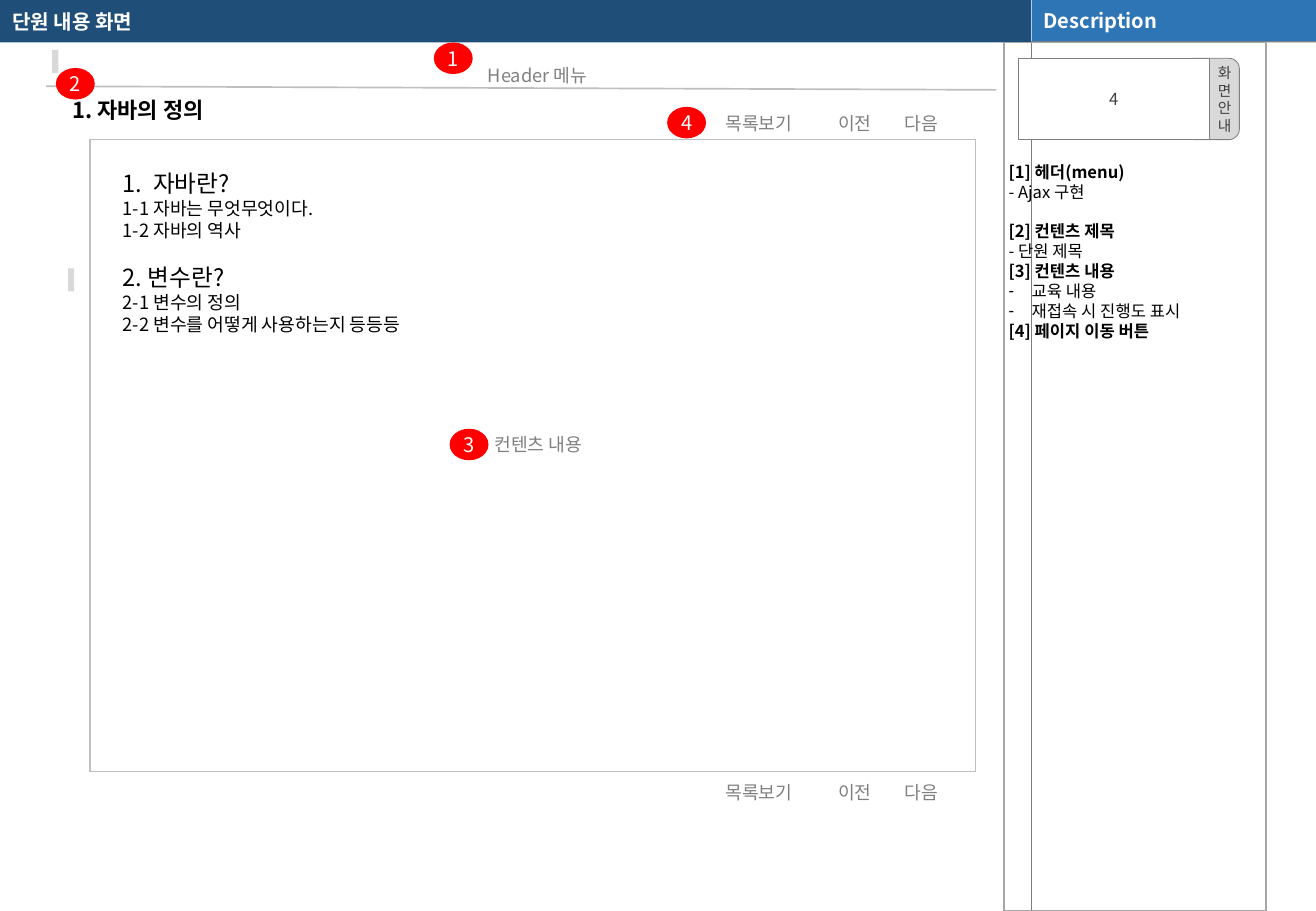
import pptx
import pptx.util
import pptx.dml.color
import pptx.enum.shapes
import pptx.enum.text
import pptx.oxml
import pptx.oxml.ns
from pptx.util import Inches

FONT = "Noto Sans CJK KR"
COLORS = {
    "navy": "1F4E79", "blue": "2E75B6", "red": "FF0000", "white": "FFFFFF",
    "black": "000000", "ink": "404040", "label": "808080", "guide": "7F7F7F",
    "panel": "A6A6A6", "rule": "BFBFBF", "mark": "D9D9D9",
}
SHAPE = pptx.enum.shapes.MSO_SHAPE
ALIGN = pptx.enum.text.PP_ALIGN
ANCHOR = pptx.enum.text.MSO_ANCHOR
LINE_RATIO = 1.2


def rgb(name):
    return pptx.dml.color.RGBColor.from_string(COLORS[name])


def set_all(target, values):
    for attribute, value in values.items():
        setattr(target, attribute, value)


def xml(tag, attributes="", inner=""):
    namespace = pptx.oxml.ns.nsdecls("a")
    return pptx.oxml.parse_xml(f"<a:{tag} {namespace} {attributes}>{inner}</a:{tag}>")


def paint(shape, fill=None, line=None, width=1):
    if fill:
        shape.fill.solid()
        shape.fill.fore_color.rgb = rgb(fill)
    else:
        shape.fill.background()
    if line:
        shape.line.color.rgb = rgb(line)
        shape.line.width = pptx.util.Pt(width)
    else:
        shape.line.fill.background()


def place(shape, box):
    set_all(shape, dict(zip(("left", "top", "width", "height"), map(Inches, box))))


def add_box(shapes, box, fill=None, line=None, width=1, kind=SHAPE.RECTANGLE):
    shape = shapes.add_shape(kind, *map(Inches, box))
    shape.shadow.inherit = False
    paint(shape, fill, line, width)
    return shape


def add_rule(shapes, start, end, color, width):
    rule = shapes.add_connector(pptx.enum.shapes.MSO_CONNECTOR.STRAIGHT,
                                *map(Inches, start + end))
    rule.line.color.rgb = rgb(color)
    rule.line.width = pptx.util.Pt(width)
    rule._element.spPr.append(xml("effectLst"))


def write(shape, lines, size, color, bold=False, align=ALIGN.LEFT, anchor=ANCHOR.TOP,
          insets=(0.1, 0.05, 0.1, 0.05), wrap=True, ratio=LINE_RATIO):
    """Each line is a string or a dict with text and its own size, bold, gap or bullet."""
    frame = shape.text_frame
    margins = ("margin_left", "margin_top", "margin_right", "margin_bottom")
    set_all(frame, dict(zip(margins, map(Inches, insets))))
    set_all(frame, {"word_wrap": wrap, "vertical_anchor": anchor,
                    "auto_size": pptx.enum.text.MSO_AUTO_SIZE.NONE})
    for index, line in enumerate(lines):
        line = {"text": line} if isinstance(line, str) else line
        points = line.get("size", size)
        paragraph = frame.add_paragraph() if index else frame.paragraphs[0]
        set_all(paragraph, {
            "alignment": align,
            "line_spacing": pptx.util.Pt(round(points * ratio, 1)),
            "space_before": pptx.util.Pt(line.get("gap", 0)),
            "space_after": pptx.util.Pt(0),
        })
        indent = Inches(line.get("indent", 0))
        properties = paragraph._p.get_or_add_pPr()
        properties.set("marL", str(indent))
        properties.set("indent", str(-indent))
        bullet = line.get("bullet", ("buNone", ""))
        properties.append(xml(*bullet))
        run = paragraph.add_run()
        run.text = line["text"]
        set_all(run.font, {"name": FONT, "size": pptx.util.Pt(points),
                           "bold": line.get("bold", bold)})
        run.font.color.rgb = rgb(color)
        run._r.get_or_add_rPr().append(xml("ea", f'typeface="{FONT}"'))


def add_label(shapes, text, box, fill=None):
    label = add_box(shapes, box, fill)
    write(label, [text], 10.8, "label", align=ALIGN.CENTER, insets=(0, 0, 0, 0))


def add_page_buttons(shapes, top, fill=None):
    for text, left in (("목록보기", 5.81), ("이전", 6.6), ("다음", 7.15)):
        add_label(shapes, text, (left, top, 0.87, 0.18), fill)


def add_badge(shapes, number, left, top):
    badge = add_box(shapes, (left, top, 0.32, 0.26), "red", kind=SHAPE.OVAL)
    write(badge, [str(number)], 11.9, "white", align=ALIGN.CENTER,
          anchor=ANCHOR.MIDDLE, insets=(0, 0, 0, 0), wrap=False)


def add_content_frame(shapes, box):
    table = shapes.add_table(1, 1, *map(Inches, box)).table
    set_all(table, {"first_row": False, "horz_banding": False})
    cell = table.cell(0, 0)
    properties = cell._tc.get_or_add_tcPr()
    color = f'<a:solidFill><a:srgbClr val="{COLORS["rule"]}"/></a:solidFill>'
    for side in ("lnL", "lnR", "lnT", "lnB"):
        properties.append(xml(side, 'w="12700"', color))
    cell.fill.background()


def add_frame_bars(shapes):
    add_box(shapes, (0, 0, 8.49, 0.35), "navy")
    add_box(shapes, (8.49, 0, 2.34, 0.35), "label")
    add_rule(shapes, (8.49, 0), (8.49, 0.35), "white", 0.25)
    add_rule(shapes, (8.49, 0.34), (8.49, 7.5), "guide", 0.25)
    description = add_box(shapes, (8.49, 0, 2.34, 0.34), "blue")
    write(description, ["Description"], 11.9, "white", bold=True, anchor=ANCHOR.MIDDLE)


def fill_description(panel):
    dash = {"bullet": ("buChar", 'char="-"'), "indent": 0.19}
    place(panel, (8.26, 0.35, 2.16, 7.15))
    paint(panel, line="panel")
    write(panel, [
        {"text": "[1] 헤더(menu)", "bold": True},
        "- Ajax 구현",
        {"text": "[2] 컨텐츠 제목", "bold": True, "gap": 11.8},
        "- 단원 제목",
        {"text": "[3] 컨텐츠 내용", "bold": True},
        {"text": "교육 내용", **dash},
        {"text": "재접속 시 진행도 표시", **dash},
        {"text": "[4] 페이지 이동 버튼", "bold": True},
    ], 9.8, "black", insets=(0.04, 0.98, 0.04, 0))


def add_screen_guide(shapes):
    guide = shapes.add_group_shape().shapes
    tab = add_box(guide, (9.74, 0.48, 0.46, 0.67), "mark", "label", 0.5,
                  SHAPE.ROUNDED_RECTANGLE)
    tab.adjustments[0] = 0.19
    write(tab, list("화면안내"), 8.7, "ink", align=ALIGN.RIGHT,
          anchor=ANCHOR.MIDDLE, insets=(0, 0, 0.04, 0), wrap=False)
    number = add_box(guide, (8.38, 0.48, 1.57, 0.67), "white", "label", 0.5)
    write(number, ["4"], 9.8, "ink", align=ALIGN.CENTER,
          anchor=ANCHOR.MIDDLE, insets=(0.04,) * 4, wrap=False)


def add_lesson(shapes):
    lesson = add_box(shapes, (1.01, 1.39, 3.7, 1.38), "white")
    write(lesson, [
        {"text": "자바란?", "size": 14, "indent": 0.25,
         "bullet": ("buAutoNum", 'type="arabicPeriod"')},
        "1-1 자바는 무엇무엇이다.",
        "1-2 자바의 역사",
        {"text": "2. 변수란?", "size": 14, "gap": 13},
        "2-1 변수의 정의",
        "2-2 변수를 어떻게 사용하는지 등등등",
    ], 10.8, "black", insets=(0, 0, 0, 0))


def main():
    deck = pptx.Presentation()
    set_all(deck, {"slide_width": Inches(10.83), "slide_height": Inches(7.5)})
    slide = deck.slides.add_slide(deck.slide_layouts[1])
    shapes = slide.shapes
    screen_title, description = slide.placeholders

    # Top bars, with the placeholders in front of them
    add_frame_bars(shapes)
    for part in (screen_title, description):
        shapes._spTree.append(part._element)
    place(screen_title, (0, 0, 8.25, 0.35))
    write(screen_title, ["단원 내용 화면"], 11.9, "white", bold=True, anchor=ANCHOR.MIDDLE)

    # Header of the mocked-up screen
    add_rule(shapes, (0.38, 0.71), (8.2, 0.74), "rule", 1)
    for left, top in ((0.43, 0.41), (0.56, 2.21)):
        add_box(shapes, (left, top, 0.05, 0.19), "mark")
    chapter = shapes.add_textbox(*map(Inches, (0.5, 0.75, 2.76, 0.32)))
    write(chapter, ["1. 자바의 정의"], 13, "black", bold=True)
    menu = shapes.add_textbox(*map(Inches, (0.46, 0.39, 7.93, 0.34)))
    write(menu, ["Header 메뉴"], 10.8, "label", align=ALIGN.CENTER, ratio=1.8)

    # Description column
    fill_description(description)
    add_screen_guide(shapes)

    # Lesson content and page buttons
    add_content_frame(shapes, (0.74, 1.15, 7.29, 5.2))
    add_lesson(shapes)
    add_label(shapes, "컨텐츠 내용", (3.72, 3.57, 1.42, 0.18), "white")
    add_page_buttons(shapes, 6.43, "white")
    add_page_buttons(shapes, 0.92)

    # Numbered badges
    badges = ((3.57, 0.35), (0.46, 0.56), (3.7, 3.53), (5.49, 0.88))
    for number, (left, top) in enumerate(badges, 1):
        add_badge(shapes, number, left, top)

    deck.save("out.pptx")


if __name__ == "__main__":
    main()
